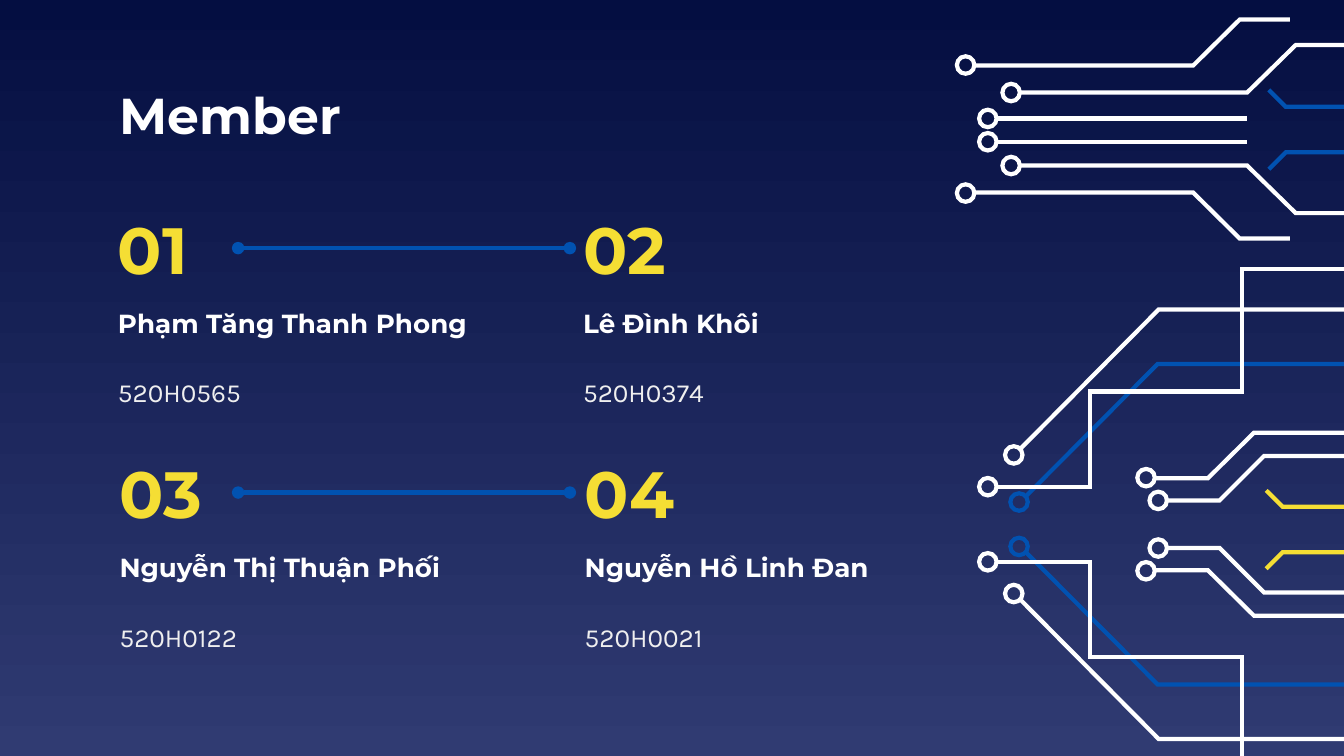
from dataclasses import dataclass
from itertools import product
from typing import Optional

from lxml.etree import SubElement
from pptx import Presentation
from pptx.dml.color import RGBColor
from pptx.enum.shapes import MSO_CONNECTOR as Connector, MSO_SHAPE as Shape
from pptx.enum.text import MSO_ANCHOR as Anchor, MSO_AUTO_SIZE as AutoSize, PP_ALIGN as Align
from pptx.oxml.ns import qn
from pptx.util import Cm, Pt

COLORS = {
    "night": "040E41",
    "dusk": "303B72",
    "white": "FFFFFF",
    "pale": "EFEFEF",
    "yellow": "F5DE34",
    "blue": "0152B1",
}
WIDTH, HEIGHT = 25.4, 14.29
LINE_WIDTH = Pt(2.25)
NODE_SIZE = 0.33
TOP_AXIS, PALM_AXIS = 2.44, 9.91

Point = tuple[float, float]


@dataclass
class Trace:
    """A circuit line, its end node, and the height it is mirrored about."""
    points: list[Point]
    node: Optional[Point] = None
    axis: Optional[float] = None
    color: str = "white"


@dataclass
class TextStyle:
    size: float
    color: str
    font: str = "Montserrat"
    bold: bool = True


@dataclass
class Member:
    number: str
    name: str
    student_id: str


TITLE = TextStyle(27, "white")
NUMBER = TextStyle(35, "yellow")
NAME = TextStyle(14, "white")
STUDENT_ID = TextStyle(14, "pale", "Karla", False)

MEMBERS = [
    Member("01", "Phạm Tăng Thanh Phong", "520H0565"),
    Member("02", "Lê Đình Khôi", "520H0374"),
    Member("03", "Nguyễn Thị Thuận Phối", "520H0122"),
    Member("04", "Nguyễn Hồ Linh Đan", "520H0021"),
]
COLUMN_WIDTHS = (7.47, 6.12)
COLUMN_STEP, ROW_STEP, ROW_SHIFT = 8.79, 4.62, 0.03


def mirrored(points: list[Point], axis: float) -> list[Point]:
    return [(x, 2 * axis - y) for x, y in points]


STAIR_NODE = (18.67, 9.2)
STAIR = [(18.82, 9.2), (20.6, 9.2), (20.6, 7.4), (23.47, 7.4)]
TRACES = [
    # right-hand fingers
    Trace([(21.8, 9.04), (22.83, 9.04), (23.7, 8.18), (WIDTH, 8.18)], (21.66, 9.03), PALM_AXIS),
    Trace([(22.04, 9.46), (23.05, 9.46), (23.89, 8.62), (WIDTH, 8.62)], (21.89, 9.46), PALM_AXIS),
    # short accents
    Trace([(23.93, 9.27), (24.24, 9.58), (WIDTH, 9.58)], axis=10.01, color="yellow"),
    Trace([(23.98, 1.7), (24.3, 2.02), (WIDTH, 2.02)], axis=2.45, color="blue"),
    # lower circuit
    Trace([(19.37, 9.4), (21.88, 6.88), (WIDTH, 6.88)], (19.26, 9.49), PALM_AXIS, "blue"),
    Trace(STAIR + [(23.47, 5.08), (WIDTH, 5.08)], STAIR_NODE),
    Trace(mirrored(STAIR, PALM_AXIS) + [(23.47, HEIGHT)], mirrored([STAIR_NODE], PALM_AXIS)[0]),
    Trace([(19.26, 8.51), (21.9, 5.85), (WIDTH, 5.85)], (19.16, 8.6), PALM_AXIS),
    # upper circuit
    Trace([(18.4, 1.24), (22.55, 1.24), (23.43, 0.37), (24.38, 0.37)], (18.25, 1.23), TOP_AXIS),
    Trace([(19.27, 1.75), (23.57, 1.75), (24.49, 0.85), (WIDTH, 0.85)], (19.11, 1.75), TOP_AXIS),
    Trace([(18.82, 2.24), (23.57, 2.24)], (18.67, 2.24), 2.46),
]


def rgb(color: str) -> RGBColor:
    return RGBColor.from_string(COLORS[color])


def outline(shape, color: str) -> None:
    shape.shadow.inherit = False
    shape.fill.background()
    shape.line.color.rgb = rgb(color)
    shape.line.width = LINE_WIDTH
    line = shape._element.spPr.find(qn("a:ln"))
    SubElement(line, qn("a:miter"), lim="800000")


def draw_path(slide, points: list[Point], color: str) -> None:
    start, *rest = [(Cm(x), Cm(y)) for x, y in points]
    builder = slide.shapes.build_freeform(*start)
    builder.add_line_segments(rest, close=False)
    outline(builder.convert_to_shape(), color)


def draw_node(slide, center: Point, color: str) -> None:
    left, top = (Cm(value - NODE_SIZE / 2) for value in center)
    ring = slide.shapes.add_shape(Shape.OVAL, left, top, Cm(NODE_SIZE), Cm(NODE_SIZE))
    outline(ring, color)


def draw_trace(slide, trace: Trace) -> None:
    """Draw the trace and, if it has an axis, its mirror image."""
    nodes = [trace.node] if trace.node else []
    sides = [(trace.points, nodes)]
    if trace.axis is not None:
        sides.append((mirrored(trace.points, trace.axis), mirrored(nodes, trace.axis)))
    for points, centers in sides:
        draw_path(slide, points, trace.color)
        for center in centers:
            draw_node(slide, center, trace.color)


def write(shape, text: str, style: TextStyle) -> None:
    frame = shape.text_frame
    frame.word_wrap = True
    frame.auto_size = AutoSize.NONE
    frame.vertical_anchor = Anchor.MIDDLE
    frame.margin_left = frame.margin_right = Cm(0.25)
    frame.margin_top = frame.margin_bottom = Cm(0.25)
    paragraph = frame.paragraphs[0]
    paragraph.alignment = Align.LEFT
    run = paragraph.add_run()
    run.text = text
    run.font.name = style.font
    run.font.size = Pt(style.size)
    run.font.bold = style.bold
    run.font.color.rgb = rgb(style.color)


def draw_member(slide, member: Member, row: int, column: int) -> None:
    left = 1.98 + column * COLUMN_STEP + row * ROW_SHIFT
    width = COLUMN_WIDTHS[column]
    for text, style, top, box_width, height in (
        (member.name, NAME, 5.44, width, 1.32),
        (member.number, NUMBER, 3.96, 2.51, 1.47),
        (member.student_id, STUDENT_ID, 6.68, width, 1.47),
    ):
        box = slide.shapes.add_textbox(
            Cm(left), Cm(top + row * ROW_STEP), Cm(box_width), Cm(height))
        write(box, text, style)


def draw_link(slide, row: int) -> None:
    """Join the two members of a row with a round-ended line."""
    y = Cm(4.69 + row * ROW_STEP)
    link = slide.shapes.add_connector(Connector.STRAIGHT, Cm(4.5), y, Cm(10.77), y)
    link.line.color.rgb = rgb("blue")
    link.line.width = LINE_WIDTH
    properties = link._element.spPr
    for end in ("a:headEnd", "a:tailEnd"):
        SubElement(properties.find(qn("a:ln")), qn(end), type="oval")
    SubElement(properties, qn("a:effectLst"))


def paint_background(slide) -> None:
    fill = slide.background.fill
    fill.gradient()
    fill.gradient_angle = 270
    for stop, color in zip(fill.gradient_stops, ("night", "dusk")):
        stop.color.rgb = rgb(color)


def main() -> None:
    deck = Presentation()
    deck.slide_width, deck.slide_height = Cm(WIDTH), Cm(HEIGHT)
    slide = deck.slides.add_slide(deck.slide_layouts[5])
    paint_background(slide)

    title = slide.shapes.title
    title.left, title.top, title.width, title.height = Cm(2.01), Cm(1.5), Cm(14.91), Cm(1.32)
    write(title, "Member", TITLE)

    for member, (row, column) in zip(MEMBERS, product(range(2), repeat=2)):
        draw_member(slide, member, row, column)
    for trace in TRACES:
        draw_trace(slide, trace)
    for row in range(2):
        draw_link(slide, row)
    deck.save("out.pptx")


if __name__ == "__main__":
    main()
